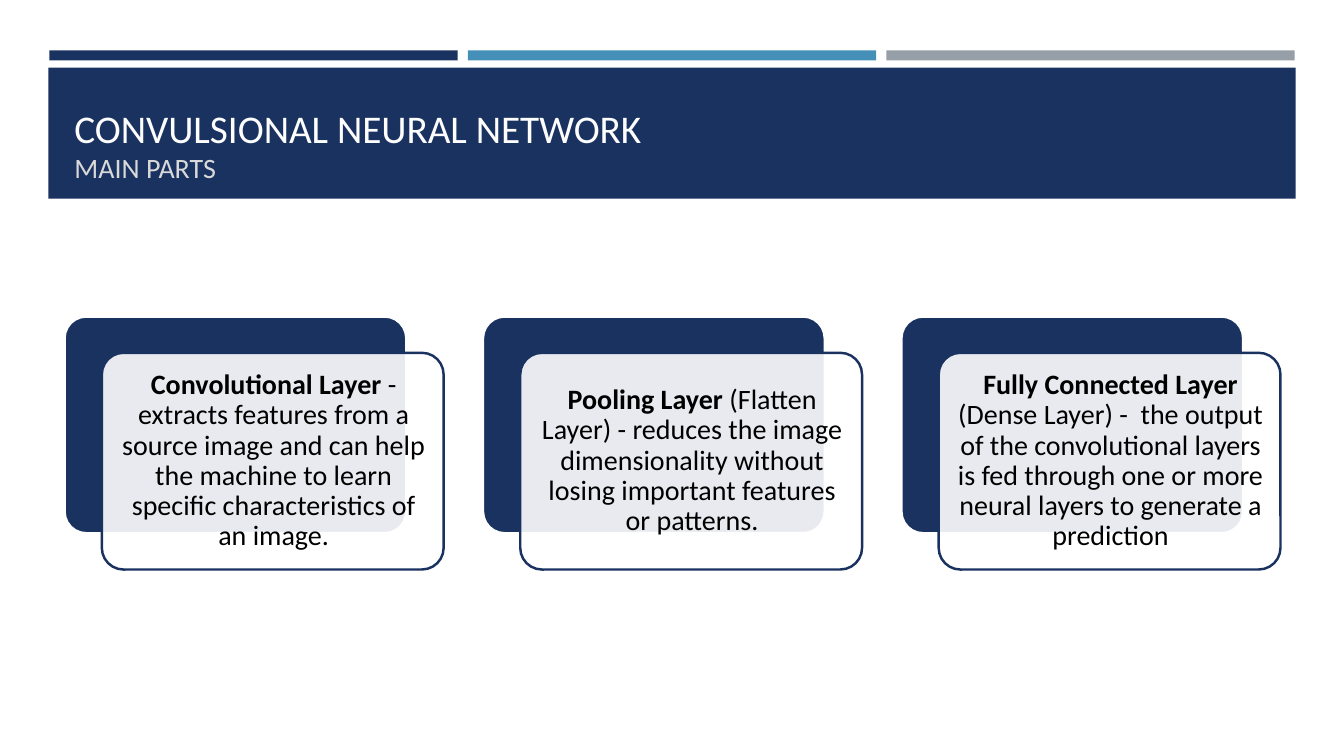
from lxml import etree
from pptx import Presentation
from pptx import util as u
from pptx.dml.color import RGBColor
from pptx.enum import shapes, text
from pptx.oxml.ns import qn

NAVY = RGBColor(0x1A, 0x32, 0x60)
BLUE = RGBColor(0x45, 0x90, 0xB8)
GRAY = RGBColor(0x96, 0x9F, 0xA7)
LIGHT_GRAY = RGBColor(0xD9, 0xD9, 0xD9)
OFF_WHITE = RGBColor(0xFF, 0xFE, 0xFF)
WHITE = RGBColor(0xFF, 0xFF, 0xFF)
BLACK = RGBColor(0, 0, 0)

LAYERS = [
    ("Convolutional Layer ",
     "- extracts features from a source image and can help the machine "
     "to learn specific characteristics of an image."),
    ("Pooling Layer ",
     "(Flatten Layer) - reduces the image dimensionality without losing "
     "important features or patterns."),
    ("Fully Connected Layer ",
     "(Dense Layer) -  the output of the convolutional layers is fed "
     "through one or more neural layers to generate a prediction"),
]


class Deck:
    font = "Calibri"

    def __init__(self, prs):
        self.s = prs.slides.add_slide(prs.slide_layouts[6])

    def shape(self, kind, box, fill):
        sp = self.s.shapes.add_shape(kind, *map(u.Inches, box))
        sp.shadow.inherit = False
        sp.fill.solid()
        sp.fill.fore_color.rgb = fill
        sp.line.fill.background()
        return sp

    def bar(self, box, fill):
        return self.shape(shapes.MSO_SHAPE.RECTANGLE, box, fill)

    def card(self, box, fill, line, opacity=100):
        sp = self.shape(shapes.MSO_SHAPE.ROUNDED_RECTANGLE, box, fill)
        sp.adjustments[0] = 0.1
        sp.line.color.rgb = line
        sp.line.width = u.Pt(1.75)
        if opacity < 100:
            color = sp.fill._xPr.find(qn("a:solidFill"))[0]
            etree.SubElement(color, qn("a:alpha"), val=str(opacity * 1000))

    def textbox(self, box, anchor):
        tf = self.s.shapes.add_textbox(*map(u.Inches, box)).text_frame
        tf.word_wrap = True
        tf.vertical_anchor = anchor
        return tf

    def run(self, p, words, size, color, bold=False):
        r = p.add_run()
        r.text = words
        r.font.size = u.Pt(size)
        r.font.color.rgb = color
        r.font.bold = bold

    def title(self, box, heading, subheading):
        p = self.textbox(box, text.MSO_ANCHOR.BOTTOM).paragraphs[0]
        p.font.name = self.font
        self.run(p, heading, 28, OFF_WHITE)
        p.add_line_break()
        self.run(p, subheading, 20, LIGHT_GRAY)
        for r in p.runs:
            r.font.name = self.font

    def description(self, box, name, detail):
        tf = self.textbox(box, text.MSO_ANCHOR.MIDDLE)
        tf.margin_left = tf.margin_right = u.Inches(0.08)
        tf.margin_top = tf.margin_bottom = u.Inches(0.08)
        p = tf.paragraphs[0]
        p.alignment = text.PP_ALIGN.CENTER
        p.line_spacing = 0.9
        p.space_after = u.Pt(7)
        self.run(p, name, 20, BLACK, bold=True)
        self.run(p, detail, 20, BLACK)
        for r in p.runs:
            r.font.name = self.font


def main():
    prs = Presentation()
    prs.slide_width, prs.slide_height = u.Inches(13.33), u.Inches(7.5)
    deck = Deck(prs)

    # Header stripes and title band
    for i, color in enumerate((NAVY, BLUE, GRAY)):
        deck.bar((0.49 + 4.15 * i, 0.5, 4.05, 0.1), color)
    deck.bar((0.48, 0.67, 12.37, 1.3), NAVY)
    deck.title((0.64, 0.77, 12.06, 1.11),
               "CONVULSIONAL NEURAL NETWORK", "MAIN PARTS")

    # One pair of overlapping cards per layer
    for i, (name, detail) in enumerate(LAYERS):
        x = 0.64 + 4.15 * i
        deck.card((x, 3.14, 3.39, 2.15), NAVY, WHITE)
        deck.card((x + 0.37, 3.5, 3.39, 2.15), WHITE, NAVY, opacity=90)
        deck.description((x + 0.44, 3.56, 3.27, 2.03), name, detail)

    prs.save("out.pptx")


if __name__ == "__main__":
    main()
